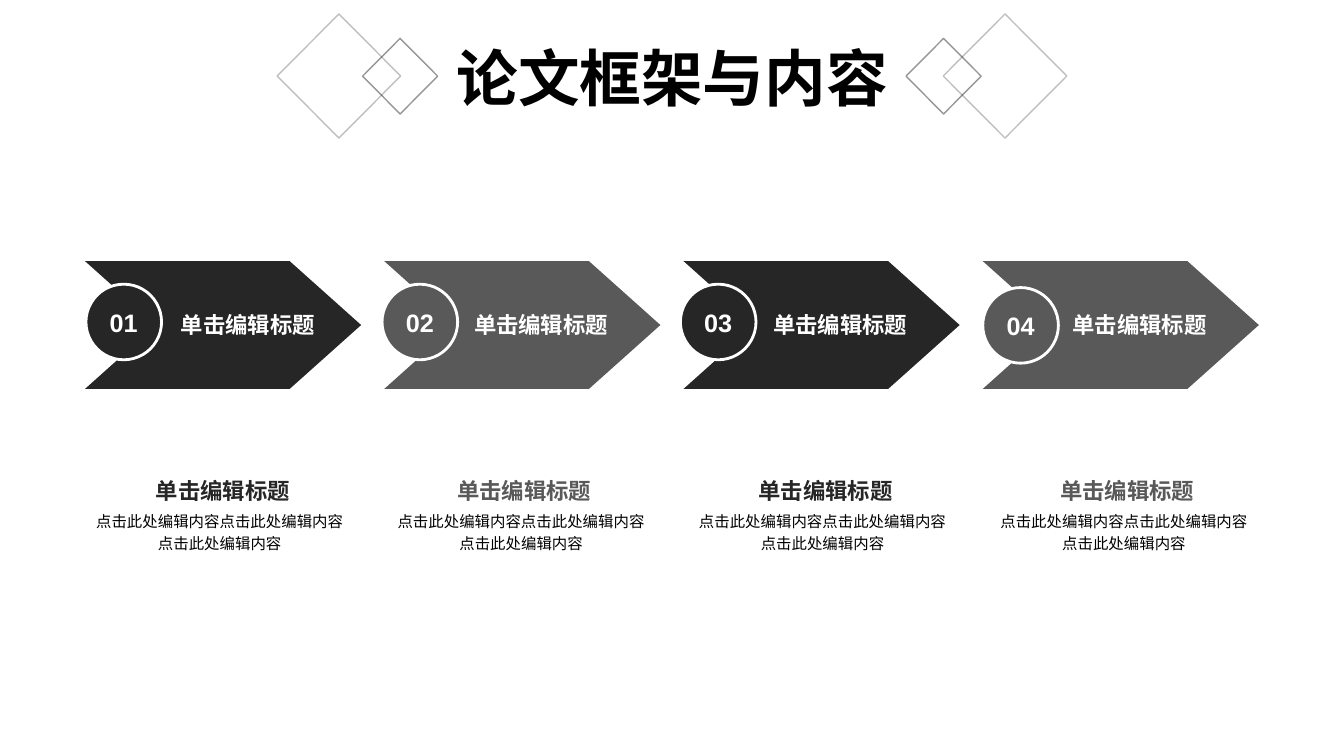
from lxml.etree import SubElement
from pptx import Presentation
from pptx.dml.color import RGBColor
from pptx.enum.shapes import MSO_SHAPE
from pptx.enum.text import MSO_ANCHOR, MSO_AUTO_SIZE, PP_ALIGN
from pptx.oxml.ns import qn
from pptx.util import Pt

TITLE = "论文框架与内容"
DARK, GRAY, WHITE, BLACK = "262626", "595959", "FFFFFF", "000000"
LATIN_FONT, CHINESE_FONT = "Arial", "Noto Sans CJK SC"
BODY = ["点击此处编辑内容点击此处编辑内容", "点击此处编辑内容"]
# number, heading, colour, circle left, circle top, arrow text left inset
STEPS = [
    ("01", "单击编辑标题", DARK, 61.4, 203, 55.8),
    ("02", "单击编辑标题", GRAY, 272.9, 203, 47),
    ("03", "单击编辑标题", DARK, 486, 203, 47),
    ("04", "单击编辑标题", GRAY, 702, 205.4, 47),
]
# left, top, width, height, line opacity in percent
DIAMONDS = [
    (673.8, 10, 88.2, 88.6, 27),
    (647.2, 27.4, 53.6, 54, 46),
    (198, 10, 88.2, 88.6, 27),
    (259, 27.4, 53.6, 54, 46),
]

ARROW_LEFT, ARROW_TOP, ARROW_PITCH = 60.7, 186.5, 213.75
ARROW_WIDTH, ARROW_HEIGHT, ARROW_POINT = 197.3, 91.4, 51.1
CIRCLE_SIZE = 54
CAPTION_LEFT, CAPTION_PITCH, CAPTION_WIDTH = 56.2, 215.3, 201.6


def color(value):
    return RGBColor.from_string(value)


def add_text(paragraph, text, size, text_color, bold=False, latin=LATIN_FONT):
    run = paragraph.add_run()
    run.text = text
    run.font.size = Pt(size)
    run.font.bold = bold
    run.font.name = latin
    run.font.color.rgb = color(text_color)
    SubElement(run._r.get_or_add_rPr(), qn("a:ea"), typeface=CHINESE_FONT)


def set_frame(shape, insets, anchor=MSO_ANCHOR.TOP, wrap=True):
    """Set the text margins (left, top, right, bottom); return the centred paragraph."""
    frame = shape.text_frame
    frame.word_wrap = wrap
    frame.auto_size = MSO_AUTO_SIZE.NONE
    frame.vertical_anchor = anchor
    frame.margin_left, frame.margin_top, frame.margin_right, frame.margin_bottom = map(Pt, insets)
    paragraph = frame.paragraphs[0]
    paragraph.alignment = PP_ALIGN.CENTER
    return paragraph


def add_diamond(slide, left, top, width, height, opacity):
    diamond = slide.shapes.add_shape(MSO_SHAPE.DIAMOND, Pt(left), Pt(top), Pt(width), Pt(height))
    diamond.shadow.inherit = False
    diamond.fill.background()
    diamond.line.color.rgb = color("1C1C1C")
    diamond.line.width = Pt(1)
    line_color = diamond.line._ln.find(".//" + qn("a:srgbClr"))
    SubElement(line_color, qn("a:alpha"), val=str(opacity * 1000))


def add_arrow(slide, left, heading, fill, text_inset):
    middle, bottom = ARROW_TOP + ARROW_HEIGHT / 2, ARROW_TOP + ARROW_HEIGHT
    right = left + ARROW_WIDTH
    outline = [
        (right - ARROW_POINT, ARROW_TOP), (right, middle), (right - ARROW_POINT, bottom),
        (left, bottom), (left + ARROW_POINT, middle),
    ]
    builder = slide.shapes.build_freeform(Pt(left), Pt(ARROW_TOP))
    builder.add_line_segments([(Pt(x), Pt(y)) for x, y in outline], close=True)
    arrow = builder.convert_to_shape()
    arrow.shadow.inherit = False
    arrow.fill.solid()
    arrow.fill.fore_color.rgb = color(fill)
    arrow.line.fill.background()
    paragraph = set_frame(arrow, (text_inset, 0, 20.2, 0), MSO_ANCHOR.MIDDLE)
    add_text(paragraph, heading, 16, WHITE, bold=True)


def add_circle(slide, left, top, number, fill):
    circle = slide.shapes.add_shape(
        MSO_SHAPE.OVAL, Pt(left), Pt(top), Pt(CIRCLE_SIZE), Pt(CIRCLE_SIZE))
    circle.shadow.inherit = False
    circle.fill.solid()
    circle.fill.fore_color.rgb = color(fill)
    circle.line.color.rgb = color(WHITE)
    circle.line.width = Pt(2)
    paragraph = set_frame(circle, (0, 0, 0, 0), MSO_ANCHOR.MIDDLE, wrap=False)
    add_text(paragraph, number, 18, WHITE, bold=True)


def add_caption(slide, left, heading, heading_color):
    box = slide.shapes.add_textbox(Pt(left), Pt(340.5), Pt(CAPTION_WIDTH), Pt(19.4))
    add_text(set_frame(box, (4.4, 0, 0, 0)), heading, 16, heading_color, bold=True)

    box = slide.shapes.add_textbox(Pt(left), Pt(359.5), Pt(CAPTION_WIDTH), Pt(122.4))
    paragraph = set_frame(box, (7.2, 3.6, 7.2, 3.6))
    paragraph.line_spacing = 1.2
    for index, line in enumerate(BODY):
        if index:
            paragraph.add_line_break()
        add_text(paragraph, line, 11, BLACK)


def main():
    presentation = Presentation()
    presentation.slide_width, presentation.slide_height = Pt(960), Pt(540)
    slide = presentation.slides.add_slide(presentation.slide_layouts[5])

    title = slide.shapes.title
    title.left, title.top, title.width, title.height = Pt(309.6), Pt(24.5), Pt(341.3), Pt(60.5)
    paragraph = set_frame(title, (7.2, 3.6, 7.2, 3.6), MSO_ANCHOR.MIDDLE)
    add_text(paragraph, TITLE, 44, BLACK, bold=True, latin=CHINESE_FONT)

    for diamond in DIAMONDS:
        add_diamond(slide, *diamond)
    for index, (number, heading, fill, circle_left, circle_top, inset) in enumerate(STEPS):
        add_arrow(slide, ARROW_LEFT + index * ARROW_PITCH, heading, fill, inset)
        add_circle(slide, circle_left, circle_top, number, fill)
        add_caption(slide, CAPTION_LEFT + index * CAPTION_PITCH, heading, fill)

    presentation.save("out.pptx")


if __name__ == "__main__":
    main()
